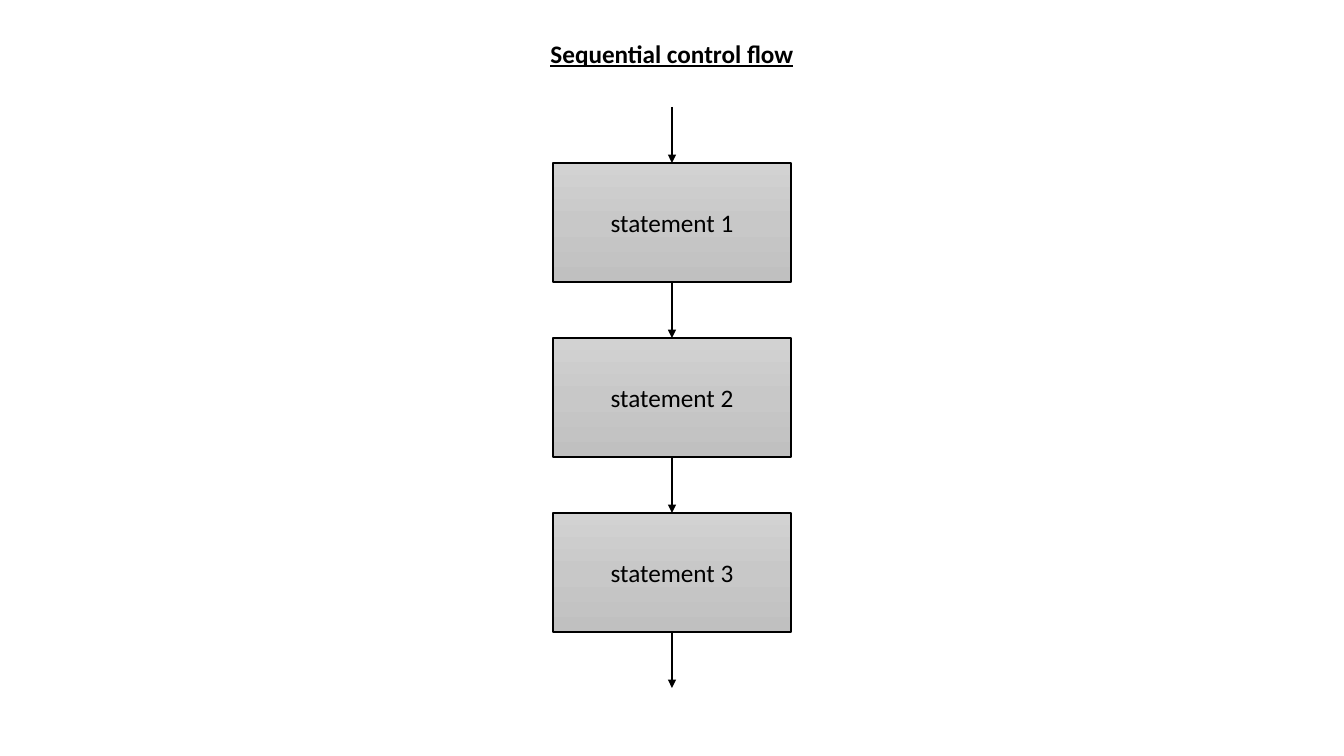
from copy import deepcopy

from pptx import Presentation
from pptx.dml.color import RGBColor
from pptx.enum.shapes import MSO_CONNECTOR as Connector, MSO_SHAPE as Shape
from pptx.enum.text import MSO_ANCHOR as Anchor, MSO_AUTO_SIZE as AutoSize, PP_ALIGN as Align
from pptx.oxml.ns import qn
from pptx.oxml.xmlchemy import OxmlElement
from pptx.util import Pt

PX = 12192000 / 1344
COLORS = {"ink": "000000", "light": "D2D2D2", "middle": "C8C8C8", "dark": "C0C0C0"}
STATEMENTS = ["statement 1", "statement 2", "statement 3"]

# Layout in px
CENTER = 672
BOX_WIDTH, BOX_HEIGHT = 238, 119
ARROW_TOP, ARROW_LENGTH = 107, 56
STEP = ARROW_LENGTH + BOX_HEIGHT


def emu(*lengths):
    return [round(length * PX) for length in lengths]


def write(frame, text, anchor=Anchor.MIDDLE, bold=False, underline=False):
    frame.word_wrap = True
    frame.vertical_anchor = anchor
    para = frame.paragraphs[0]
    para.alignment = Align.CENTER
    span = para.add_run()
    span.text = text
    font = span.font
    font.name, font.size, font.bold, font.underline = "Calibri", Pt(18), bold, underline
    font.color.rgb = RGBColor.from_string(COLORS["ink"])


deck = Presentation()
deck.slide_width, deck.slide_height = emu(1344, 756)
page = deck.slides.add_slide(deck.slide_layouts[5])

# Title
title = page.shapes.title
title.left, title.top, title.width, title.height = emu(CENTER - 159, 33, 318, 40)
write(title.text_frame, "Sequential control flow", anchor=Anchor.TOP, bold=True, underline=True)
title.text_frame.auto_size = AutoSize.SHAPE_TO_FIT_TEXT

# Statement boxes
for index, statement in enumerate(STATEMENTS):
    top = ARROW_TOP + ARROW_LENGTH + index * STEP
    box = page.shapes.add_shape(
        Shape.FLOWCHART_PROCESS, *emu(CENTER - BOX_WIDTH / 2, top, BOX_WIDTH, BOX_HEIGHT))
    box.shadow.inherit = False
    box.line.color.rgb = RGBColor.from_string(COLORS["ink"])
    box.line.width = Pt(1)
    write(box.text_frame, statement)

    # Three-stop gradient from top to bottom
    box.fill.gradient()
    box.fill.gradient_angle = 270
    stop_list = box.element.find(".//" + qn("a:gsLst"))
    stop_list.append(deepcopy(stop_list[-1]))
    for number, (stop, shade) in enumerate(zip(box.fill.gradient_stops, ["light", "middle", "dark"])):
        stop.position = number / 2
        stop.color.rgb = RGBColor.from_string(COLORS[shade])

# Arrows before, between and after the boxes
for index in range(len(STATEMENTS) + 1):
    top = ARROW_TOP + index * STEP
    arrow = page.shapes.add_connector(
        Connector.STRAIGHT, *emu(CENTER, top, CENTER, top + ARROW_LENGTH))
    arrow.line.color.rgb = RGBColor.from_string(COLORS["ink"])
    arrow.line.width = Pt(2)
    head = OxmlElement("a:tailEnd")
    head.set("type", "triangle")
    arrow.line._get_or_add_ln().append(head)
    arrow.element.spPr.append(OxmlElement("a:effectLst"))

deck.save("out.pptx")
